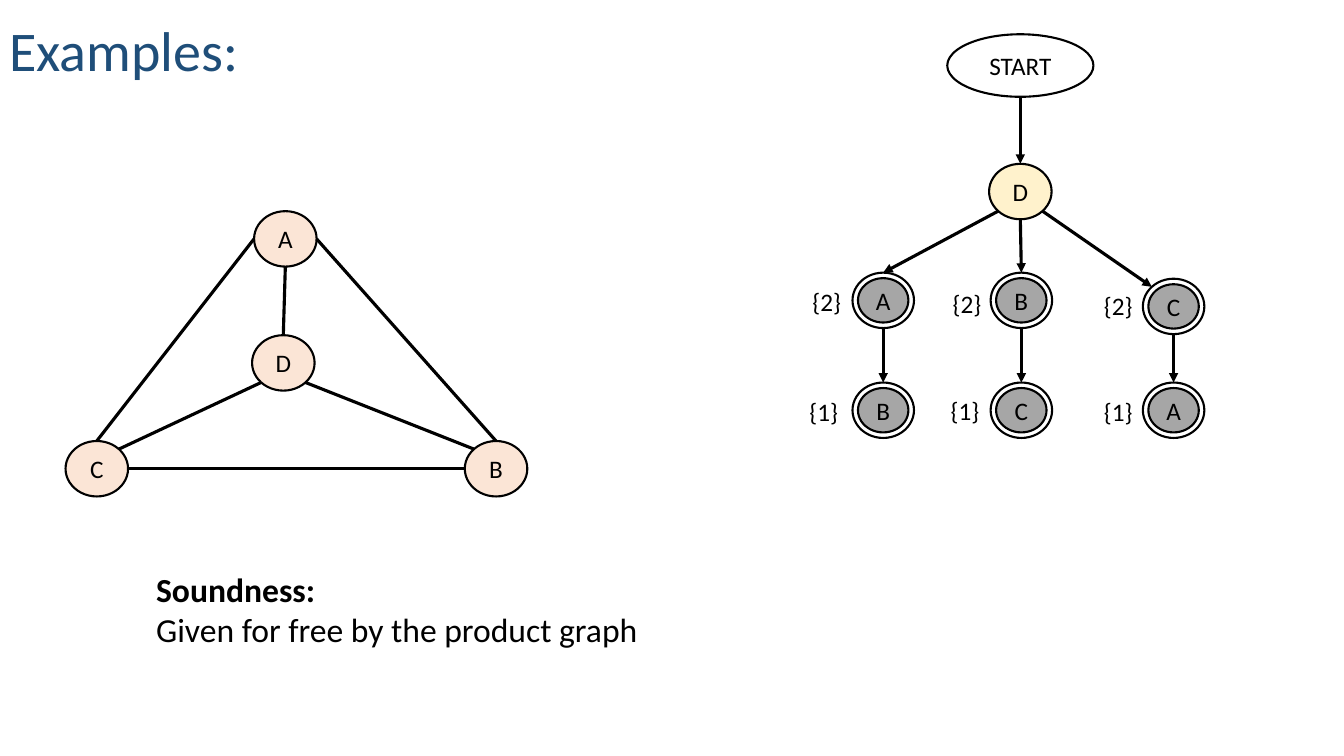
from pptx import Presentation
from pptx.dml.color import RGBColor
from pptx.enum.shapes import MSO_CONNECTOR as Connector, MSO_SHAPE as Shape
from pptx.enum.text import MSO_ANCHOR as Anchor, PP_ALIGN as Align
from pptx.oxml.ns import qn
from pptx.util import Inches, Pt
from lxml import etree

DIAGONAL = 0.707
SITES = {
    "top": (0, -1), "bottom": (0, 1), "left": (-1, 0), "right": (1, 0),
    "top left": (-DIAGONAL, -DIAGONAL), "top right": (DIAGONAL, -DIAGONAL),
    "bottom left": (-DIAGONAL, DIAGONAL), "bottom right": (DIAGONAL, DIAGONAL),
}


def colour(code):
    return RGBColor.from_string(code)


def site(oval, name):
    across, down = SITES[name]
    return (int(oval.left + oval.width * (1 + across) / 2),
            int(oval.top + oval.height * (1 + down) / 2))


class Page:
    font = "Calibri"
    ink = "000000"

    def __init__(self, deck):
        self.slide = deck.slides.add_slide(deck.slide_layouts[5])
        self.shapes = self.slide.shapes

    def style(self, para, size, code=ink, bold=False):
        para.font.name = self.font
        para.font.size = Pt(size)
        para.font.bold = bold
        para.font.color.rgb = colour(code)

    def title(self, words, left, top, width, height):
        box = self.shapes.title
        box.left, box.top = Inches(left), Inches(top)
        box.width, box.height = Inches(width), Inches(height)
        frame = box.text_frame
        frame.text = words
        frame.vertical_anchor = Anchor.BOTTOM
        frame.word_wrap = True
        para = frame.paragraphs[0]
        para.alignment = Align.LEFT
        para.line_spacing = 0.9
        self.style(para, 40, "1F4E79")

    def text(self, lines, left, top, width, height, size=18, bold_first=False):
        box = self.shapes.add_textbox(Inches(left), Inches(top), Inches(width), Inches(height))
        frame = box.text_frame
        frame.word_wrap = False
        frame.text = "\n".join(lines)
        for index, para in enumerate(frame.paragraphs):
            self.style(para, size, bold=bold_first and index == 0)

    def oval(self, words, x, y, width, height, fill):
        oval = self.shapes.add_shape(
            Shape.OVAL, Inches(x - width / 2), Inches(y - height / 2), Inches(width), Inches(height))
        oval.shadow.inherit = False
        oval.fill.solid()
        oval.fill.fore_color.rgb = colour(fill)
        oval.line.color.rgb = colour(self.ink)
        oval.line.width = Pt(1.5)
        if words:
            frame = oval.text_frame
            frame.text = words
            frame.word_wrap = False
            frame.vertical_anchor = Anchor.MIDDLE
            frame.margin_left = frame.margin_right = frame.margin_top = frame.margin_bottom = 0
            para = frame.paragraphs[0]
            para.alignment = Align.CENTER
            self.style(para, 18)
        return oval

    def node(self, words, x, y, fill):
        return self.oval(words, x, y, 0.62, 0.55, fill)

    def ringed_node(self, words, x, y):
        ring = self.oval("", x, y, 0.61, 0.55, "FFFFFF")
        self.oval(words, x, y, 0.5, 0.44, "A6A6A6")
        return ring

    def edge(self, start, start_site, end, end_site, arrow=False):
        edge = self.shapes.add_connector(
            Connector.STRAIGHT, *site(start, start_site), *site(end, end_site))
        edge.line.color.rgb = colour(self.ink)
        edge.line.width = Pt(2.25)
        properties = edge._element.spPr
        if arrow:
            etree.SubElement(properties.find(qn("a:ln")), qn("a:tailEnd"), type="triangle")
        etree.SubElement(properties, qn("a:effectLst"))


def draw_graph(page):
    centres = {"C": (0.96, 4.65), "D": (2.81, 3.6), "B": (4.92, 4.65), "A": (2.83, 2.37)}
    nodes = {name: page.node(name, x, y, "FBE5D6") for name, (x, y) in centres.items()}
    for start, start_site, end, end_site in (
        ("C", "top", "A", "left"),
        ("C", "right", "B", "left"),
        ("D", "top", "A", "bottom"),
        ("A", "right", "B", "top"),
        ("C", "top right", "D", "bottom left"),
        ("D", "bottom right", "B", "top left"),
    ):
        page.edge(nodes[start], start_site, nodes[end], end_site)


def draw_tree(page):
    start = page.oval("START", 10.12, 0.65, 1.45, 0.62, "FFFFFF")
    root = page.node("D", 10.12, 1.9, "FFF2CC")
    page.edge(start, "bottom", root, "top", arrow=True)
    branches = (
        ("A", "B", 8.76, 2.98, "bottom left", "top", (7.96, 2.79), (7.93, 3.88)),
        ("B", "C", 10.13, 2.98, "bottom", "top", (9.35, 2.81), (9.33, 3.87)),
        ("C", "A", 11.64, 3.04, "bottom right", "top left", (10.85, 2.83), (10.85, 3.88)),
    )
    for upper, lower, x, y, root_site, child_site, upper_label, lower_label in branches:
        child = page.ringed_node(upper, x, y)
        leaf = page.ringed_node(lower, x, 4.07)
        page.edge(root, root_site, child, child_site, arrow=True)
        page.edge(child, "bottom", leaf, "top", arrow=True)
        page.text(["{2}"], *upper_label, 0.49, 0.4)
        page.text(["{1}"], *lower_label, 0.49, 0.4)


def main():
    deck = Presentation()
    deck.slide_width, deck.slide_height = Inches(13.33), Inches(7.5)
    page = Page(deck)
    page.title("Examples:", -0.01, -0.05, 8.74, 0.93)
    draw_graph(page)
    draw_tree(page)
    page.text(["Soundness:", "Given for free by the product graph"],
              1.45, 5.59, 5.03, 0.91, size=24, bold_first=True)
    deck.save("out.pptx")


if __name__ == "__main__":
    main()
